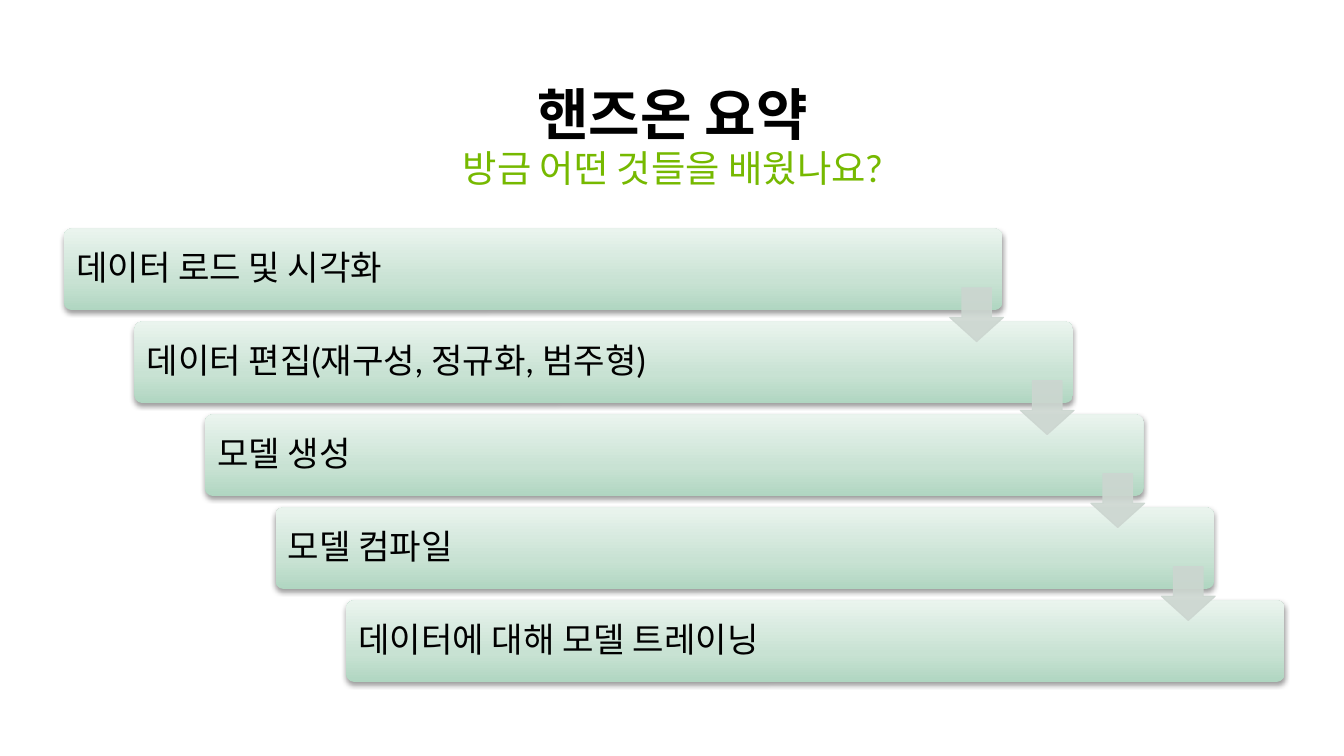
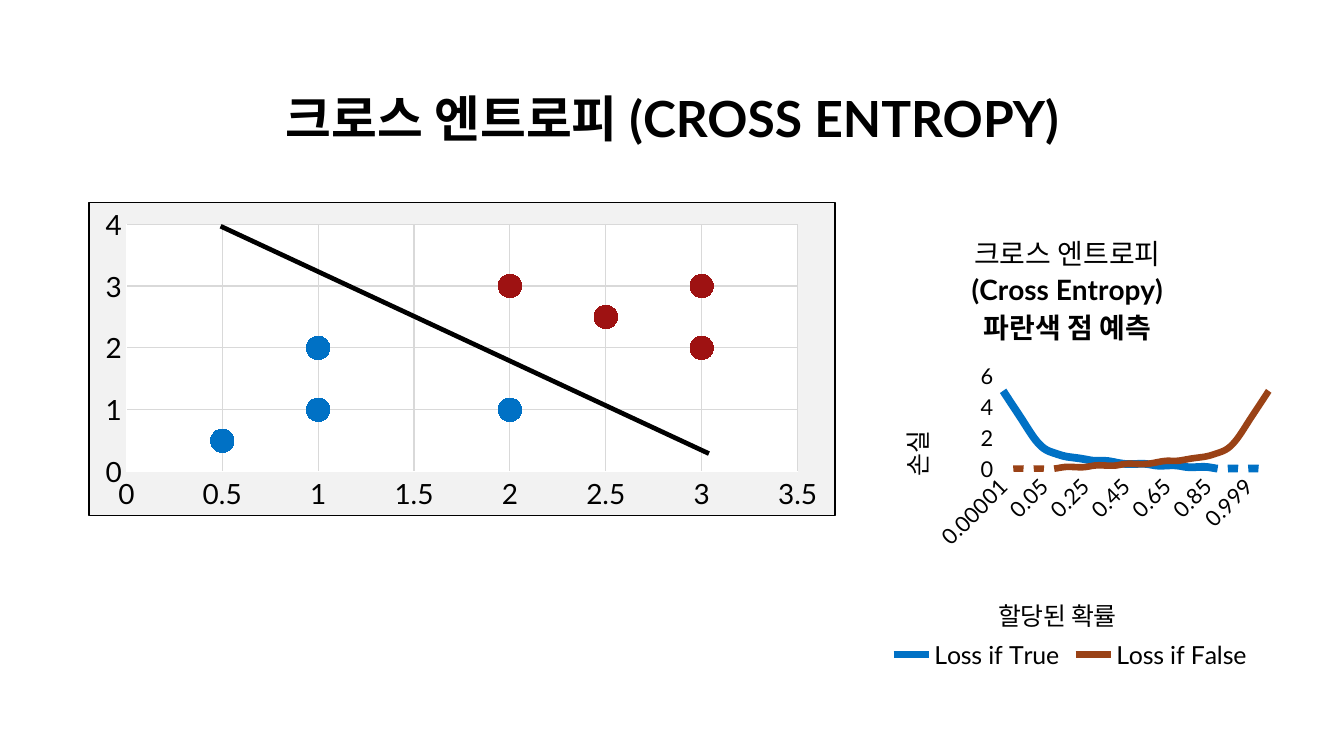
import pptx
import pptx.chart.data
import pptx.dml.color
import pptx.enum.chart
import pptx.enum.shapes
import pptx.enum.text
import pptx.oxml
import pptx.oxml.ns
import pptx.util

Inches = pptx.util.Inches
Pt = pptx.util.Pt
qn = pptx.oxml.ns.qn
SHAPE = pptx.enum.shapes.MSO_SHAPE
ANCHOR = pptx.enum.text.MSO_ANCHOR
ALIGN = pptx.enum.text.PP_ALIGN
CHART = pptx.enum.chart.XL_CHART_TYPE

FONT = "Lato"
BLACK, WHITE, GREEN = "000000", "FFFFFF", "76B900"
BLUE, RED, BROWN = "0071C5", "9E1212", "9A4216"
ARROW_GREY, GRID_GREY, PANEL_GREY = "CCD6D0", "D9D9D9", "F2F2F2"
BAR_STOPS = [(0, "B0D6C1"), (35, "C8E2D3"), (100, "EAF4EE")]

STEPS = [
    "데이터 로드 및 시각화",
    "데이터 편집(재구성, 정규화, 범주형)",
    "모델 생성",
    "모델 컴파일",
    "데이터에 대해 모델 트레이닝",
]
STEP_RIGHT, STEP_DOWN = 0.63, 0.83

PROBABILITIES = (
    ["0.00001", "0.0001", "0.001", "0.01"]
    + [f"{percent / 100:g}" for percent in range(5, 100, 5)]
    + ["0.99", "0.999", "0.9999", "0.99999"]
)
LOSS_IF_TRUE = [5, 4, 3, 2, 1.3, 1, 0.8, 0.7, 0.6, 0.5, 0.5, 0.4, 0.3, 0.3,
                0.3, 0.2, 0.2, 0.2, 0.1, 0.1, 0.1, 0, 0, 0, 0, 0, 0]
BLUE_POINTS = [(1, 1), (1, 2), (2, 1), (0.5, 0.5)]
RED_POINTS = [(2, 3), (3, 3), (3, 2), (2.5, 2.5)]


def rgb(color):
    return pptx.dml.color.RGBColor.from_string(color)


def apply_format(target, values):
    for name, value in values.items():
        setattr(target, name, value)


def style_font(font, size, color=BLACK, bold=False):
    apply_format(font, {"name": FONT, "size": Pt(size), "bold": bold})
    font.color.rgb = rgb(color)


def style_line(line, color, width=0.75):
    line.color.rgb = rgb(color)
    line.width = Pt(width)


def xml(tag, body="", prefix="a"):
    spaces = pptx.oxml.ns.nsdecls("a", "c")
    name = tag.split()[0]
    return pptx.oxml.parse_xml(f"<{prefix}:{tag} {spaces}>{body}</{prefix}:{name}>")


def write_text(frame, text, size, color=BLACK, bold=False,
               align=ALIGN.LEFT, anchor=ANCHOR.TOP):
    apply_format(frame, {"word_wrap": True, "vertical_anchor": anchor})
    frame.text = text
    paragraph = frame.paragraphs[0]
    apply_format(paragraph, {"alignment": align, "line_spacing": 0.9, "space_before": Pt(0)})
    style_font(paragraph.runs[0].font, size, color, bold)


def add_titled_slide(deck, text, size):
    slide = deck.slides.add_slide(deck.slide_layouts[5])
    title = slide.shapes.title
    apply_format(title, {"left": Inches(0.55), "top": Inches(0.72),
                         "width": Inches(10.91), "height": Inches(0.65)})
    write_text(title.text_frame, text, size, bold=True, align=ALIGN.CENTER, anchor=ANCHOR.BOTTOM)
    return slide


def add_preset(slide, preset, box, adjustments):
    shape = slide.shapes.add_shape(preset, *map(Inches, box))
    shape.shadow.inherit = False
    for index, value in enumerate(adjustments):
        shape.adjustments[index] = value
    return shape


def add_step_bar(slide, left, top, text):
    bar = add_preset(slide, SHAPE.ROUNDED_RECTANGLE, (left, top, 8.38, 0.73), [0.1])
    bar.line.fill.background()
    properties = bar.element.spPr
    stops = "".join(
        f'<a:gs pos="{place * 1000}"><a:srgbClr val="{color}"/></a:gs>'
        for place, color in BAR_STOPS
    )
    gradient = xml("gradFill", f'<a:gsLst>{stops}</a:gsLst><a:lin ang="16200000" scaled="0"/>')
    properties.find(qn("a:prstGeom")).addnext(gradient)
    properties.find(qn("a:effectLst")).append(xml(
        'outerShdw blurRad="39400" dist="20300" dir="5400000" rotWithShape="0"',
        f'<a:srgbClr val="{BLACK}"><a:alpha val="38000"/></a:srgbClr>'))
    write_text(bar.text_frame, text, 22, anchor=ANCHOR.MIDDLE)
    margins = ("margin_left", "margin_right", "margin_top", "margin_bottom")
    apply_format(bar.text_frame, dict.fromkeys(margins, Inches(0.09)))


def add_step_arrow(slide, left, top):
    arrow = add_preset(slide, SHAPE.DOWN_ARROW, (left, top, 0.48, 0.48), [0.55, 0.45])
    arrow.fill.solid()
    arrow.fill.fore_color.rgb = rgb(ARROW_GREY)
    style_line(arrow.line, ARROW_GREY)
    for color in arrow.element.spPr.iter(qn("a:srgbClr")):
        color.append(xml('alpha val="90000"'))


def add_boundary(slide, start, end):
    boundary = slide.shapes.add_connector(
        pptx.enum.shapes.MSO_CONNECTOR.STRAIGHT, *map(Inches, start + end))
    style_line(boundary.line, BLACK, 3)
    boundary.element.spPr.append(xml("effectLst"))


def add_chart(slide, kind, box, data, size):
    chart = slide.shapes.add_chart(kind, *map(Inches, box), data).chart
    style_font(chart.font, size)
    return chart


def style_axis(axis, size, line=None, grid=None, **scale):
    none = pptx.enum.chart.XL_TICK_MARK.NONE
    apply_format(axis, {"major_tick_mark": none, "minor_tick_mark": none,
                        "has_major_gridlines": grid is not None, **scale})
    style_font(axis.tick_labels.font, size)
    if line:
        style_line(axis.format.line, line)
    else:
        axis.format.line.fill.background()
    if grid:
        style_line(axis.major_gridlines.format.line, grid)


def place_part(part, index, **fractions):
    for layout in part.findall(qn("c:layout")):
        part.remove(layout)
    inner = '<c:layoutTarget val="inner"/>' if "w" in fractions else ""
    modes = '<c:xMode val="edge"/><c:yMode val="edge"/>'
    values = "".join(f'<c:{key} val="{value}"/>' for key, value in fractions.items())
    part.insert(index, xml("layout", f"<c:manualLayout>{inner}{modes}{values}</c:manualLayout>", "c"))


def write_chart_title(title, lines, size, x, y, bold_from=1):
    frame = title.text_frame
    frame.text = "\n".join(lines)
    for index, paragraph in enumerate(frame.paragraphs):
        style_font(paragraph.runs[0].font, size, bold=index >= bold_from)
    place_part(title.element, 1, x=x, y=y)


def panel_fill(color, border=""):
    return xml("spPr", f'<a:solidFill><a:srgbClr val="{color}"/></a:solidFill>{border}', "c")


def add_loss_chart(slide):
    data = pptx.chart.data.CategoryChartData()
    data.categories = PROBABILITIES
    data.add_series("Loss if True", LOSS_IF_TRUE)
    data.add_series("Loss if False", LOSS_IF_TRUE[::-1])
    chart = add_chart(slide, CHART.LINE, (7.66, 1.85, 3.79, 4.17), data, 10)
    for series, color, width in zip(chart.plots[0].series, (BLUE, BROWN), (5, 4.25)):
        series.smooth = True
        style_line(series.format.line, color, width)

    style_axis(chart.category_axis, 14, WHITE)
    style_axis(chart.value_axis, 14, grid=WHITE,
               minimum_scale=0, maximum_scale=6, major_unit=2)
    probability_axis = chart.element.find(".//" + qn("c:catAx"))
    probability_axis.find(qn("c:txPr")).find(qn("a:bodyPr")).set("rot", "-2700000")
    probability_axis.find(qn("c:noMultiLvlLbl")).addprevious(xml('tickLblSkip val="4"', prefix="c"))

    write_chart_title(chart.chart_title,
                      ["크로스 엔트로피", "(Cross Entropy)", "파란색 점 예측"], 18, 0.26, 0.04)
    write_chart_title(chart.category_axis.axis_title, ["할당된 확률"], 16, 0.32, 0.82)
    write_chart_title(chart.value_axis.axis_title, ["손실"], 16, 0.08, 0.47)
    place_part(chart.element.find(".//" + qn("c:plotArea")), 0, x=0.33, y=0.36, w=0.65, h=0.2)

    chart.has_legend = True
    apply_format(chart.legend, {"position": pptx.enum.chart.XL_LEGEND_POSITION.BOTTOM,
                                "include_in_layout": False})
    style_font(chart.legend.font, 16)


def add_points_chart(slide):
    data = pptx.chart.data.XyChartData()
    for name, points in (("Series 1", BLUE_POINTS), ("Series 2", RED_POINTS)):
        series = data.add_series(name)
        for x, y in points:
            series.add_data_point(x, y)
    chart = add_chart(slide, CHART.XY_SCATTER, (0.79, 1.8, 6.67, 2.81), data, 18)
    apply_format(chart, {"has_legend": False, "has_title": False})
    chart.plots[0].vary_by_categories = False
    for series, color in zip(chart.plots[0].series, (BLUE, RED)):
        series.format.line.fill.background()
        marker = series.marker
        apply_format(marker, {"style": pptx.enum.chart.XL_MARKER_STYLE.CIRCLE, "size": 15})
        marker.format.fill.solid()
        marker.format.fill.fore_color.rgb = rgb(color)
        style_line(marker.format.line, color)

    for axis, maximum, unit in ((chart.category_axis, 3.5, 0.5), (chart.value_axis, 4, 1)):
        style_axis(axis, 18, WHITE, GRID_GREY,
                   minimum_scale=0, maximum_scale=maximum, major_unit=unit)
        apply_format(axis.tick_labels, {"number_format": "General", "number_format_is_linked": False})

    plot_area = chart.element.find(".//" + qn("c:plotArea"))
    place_part(plot_area, 0, x=0.05, y=0.07, w=0.9, h=0.79)
    plot_area.append(panel_fill(WHITE))
    border = f'<a:ln w="9525"><a:solidFill><a:srgbClr val="{BLACK}"/></a:solidFill></a:ln>'
    chart.element.find(qn("c:chart")).addnext(panel_fill(PANEL_GREY, border))


def build_summary(deck):
    slide = add_titled_slide(deck, "핸즈온 요약", 36)
    for index, step in enumerate(STEPS):
        add_step_bar(slide, 0.57 + index * STEP_RIGHT, 2.04 + index * STEP_DOWN, step)
    for index in range(len(STEPS) - 1):
        add_step_arrow(slide, 8.48 + index * STEP_RIGHT, 2.57 + index * STEP_DOWN)
    question = slide.shapes.add_textbox(*map(Inches, (0.55, 1.29, 10.91, 0.57)))
    write_text(question.text_frame, "방금 어떤 것들을 배웠나요?", 24, GREEN, align=ALIGN.CENTER)


def build_cross_entropy(deck):
    slide = add_titled_slide(deck, "크로스 엔트로피 (CROSS ENTROPY)", 32)
    add_loss_chart(slide)
    add_points_chart(slide)
    add_boundary(slide, (1.97, 2.02), (6.33, 4.05))


def main():
    deck = pptx.Presentation()
    apply_format(deck, {"slide_width": Inches(12), "slide_height": Inches(6.75)})
    build_summary(deck)
    build_cross_entropy(deck)
    deck.save("out.pptx")


if __name__ == "__main__":
    main()
